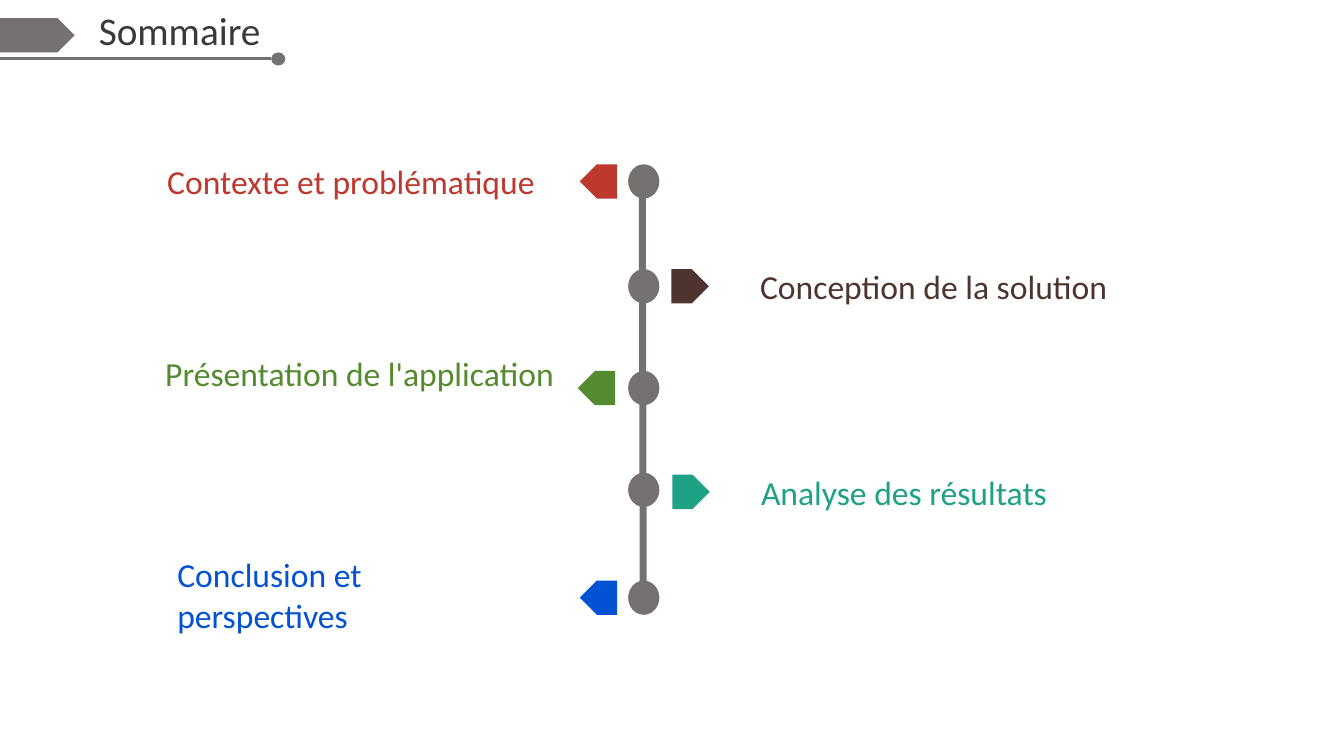
"""Build the agenda slide: a vertical timeline with five sections."""
from dataclasses import dataclass

from lxml import etree
from pptx import Presentation
from pptx.dml.color import RGBColor
from pptx.enum.shapes import MSO_CONNECTOR, MSO_SHAPE
from pptx.enum.text import MSO_ANCHOR, MSO_AUTO_SIZE, PP_ALIGN
from pptx.oxml.ns import qn
from pptx.util import Inches, Pt

TAG = MSO_SHAPE.PENTAGON
DOT = MSO_SHAPE.OVAL
STRAIGHT = MSO_CONNECTOR.STRAIGHT
TOP = MSO_ANCHOR.TOP
LEFT = PP_ALIGN.LEFT
NO_FIT = MSO_AUTO_SIZE.NONE
TITLE_ONLY = 5


@dataclass(frozen=True)
class Theme:
    """Hold the colours, font and type sizes of the slide."""
    font: str = "Calibri"
    title_size: int = 28
    section_size: int = 24
    title: str = "3B3838"
    grey: str = "767171"
    red: str = "BD392F"
    brown: str = "4E342E"
    green: str = "558B2F"
    teal: str = "1EA185"
    blue: str = "0252D3"


THEME = Theme()
MARK_HEIGHT = 0.34
DOT_LEFT, DOT_WIDTH = 6.23, 0.31
TAG_WIDTH = 0.37

# Section text, colour, dot top, tag left and top, label left, top, width and height
SECTIONS = [
    ("Contexte et problématique", THEME.red, 1.63, (5.75, 1.63), (1.56, 1.55, 4.19, 0.5)),
    ("Conception de la solution", THEME.brown, 2.67, (6.66, 2.67), (7.44, 2.59, 4.64, 0.5)),
    ("Présentation de l'application", THEME.green, 3.68, (5.73, 3.68), (1.54, 3.45, 4.19, 0.9)),
    ("Analyse des résultats", THEME.teal, 4.69, (6.67, 4.71), (7.45, 4.63, 4.64, 0.5)),
    ("Conclusion et\nperspectives", THEME.blue, 5.76, (5.75, 5.76), (1.66, 5.45, 4.19, 0.9)),
]


def add_mark(slide, kind, left, top, width, height, color, rotation=0):
    """Add a flat filled shape without outline."""
    mark = slide.shapes.add_shape(kind, Inches(left), Inches(top), Inches(width), Inches(height))
    mark.shadow.inherit = False
    mark.fill.solid()
    mark.fill.fore_color.rgb = RGBColor.from_string(color)
    mark.line.fill.background()
    mark.rotation = rotation


def add_rule(slide, start, end, weight):
    """Add a straight grey line between two points."""
    ends = [Inches(value) for value in (*start, *end)]
    rule = slide.shapes.add_connector(STRAIGHT, *ends)
    rule.line.color.rgb = RGBColor.from_string(THEME.grey)
    rule.line.width = Pt(weight)
    etree.SubElement(rule._element.spPr, qn("a:effectLst"))


def write_text(holder, text, size, color):
    """Write left-aligned text from the top of its holder."""
    frame = holder.text_frame
    frame.text = text
    frame.word_wrap = True
    frame.auto_size = NO_FIT
    frame.vertical_anchor = TOP
    for paragraph in frame.paragraphs:
        paragraph.alignment = LEFT
        for run in paragraph.runs:
            run.font.name = THEME.font
            run.font.size = Pt(size)
            run.font.color.rgb = RGBColor.from_string(color)


def add_heading(slide, text):
    """Place the slide title with its tag, underline and end dot."""
    add_mark(slide, TAG, 0, 0.18, 0.74, MARK_HEIGHT, THEME.grey)
    heading = slide.shapes.title
    heading.left, heading.top = Inches(0.88), Inches(0.01)
    heading.width, heading.height = Inches(5.78), Inches(0.57)
    write_text(heading, text, THEME.title_size, THEME.title)
    add_rule(slide, (0, 0.58), (2.69, 0.58), 2.5)
    add_mark(slide, DOT, 2.69, 0.52, 0.14, 0.13, THEME.grey)


def add_section(slide, text, color, dot_top, tag_corner, label_box):
    """Add one timeline dot with its tag pointing at the section label."""
    add_mark(slide, DOT, DOT_LEFT, dot_top, DOT_WIDTH, MARK_HEIGHT, THEME.grey)
    rotation = 180 if tag_corner[0] < DOT_LEFT else 0
    add_mark(slide, TAG, *tag_corner, TAG_WIDTH, MARK_HEIGHT, color, rotation)
    label = slide.shapes.add_textbox(*[Inches(value) for value in label_box])
    write_text(label, text, THEME.section_size, color)


def main():
    """Build and save the slide."""
    deck = Presentation()
    deck.slide_width, deck.slide_height = Inches(13.33), Inches(7.5)
    slide = deck.slides.add_slide(deck.slide_layouts[TITLE_ONLY])
    add_heading(slide, "Sommaire")
    add_rule(slide, (6.37, 1.75), (6.38, 6.08), 5)
    for section in SECTIONS:
        add_section(slide, *section)
    deck.save("out.pptx")


if __name__ == "__main__":
    main()
